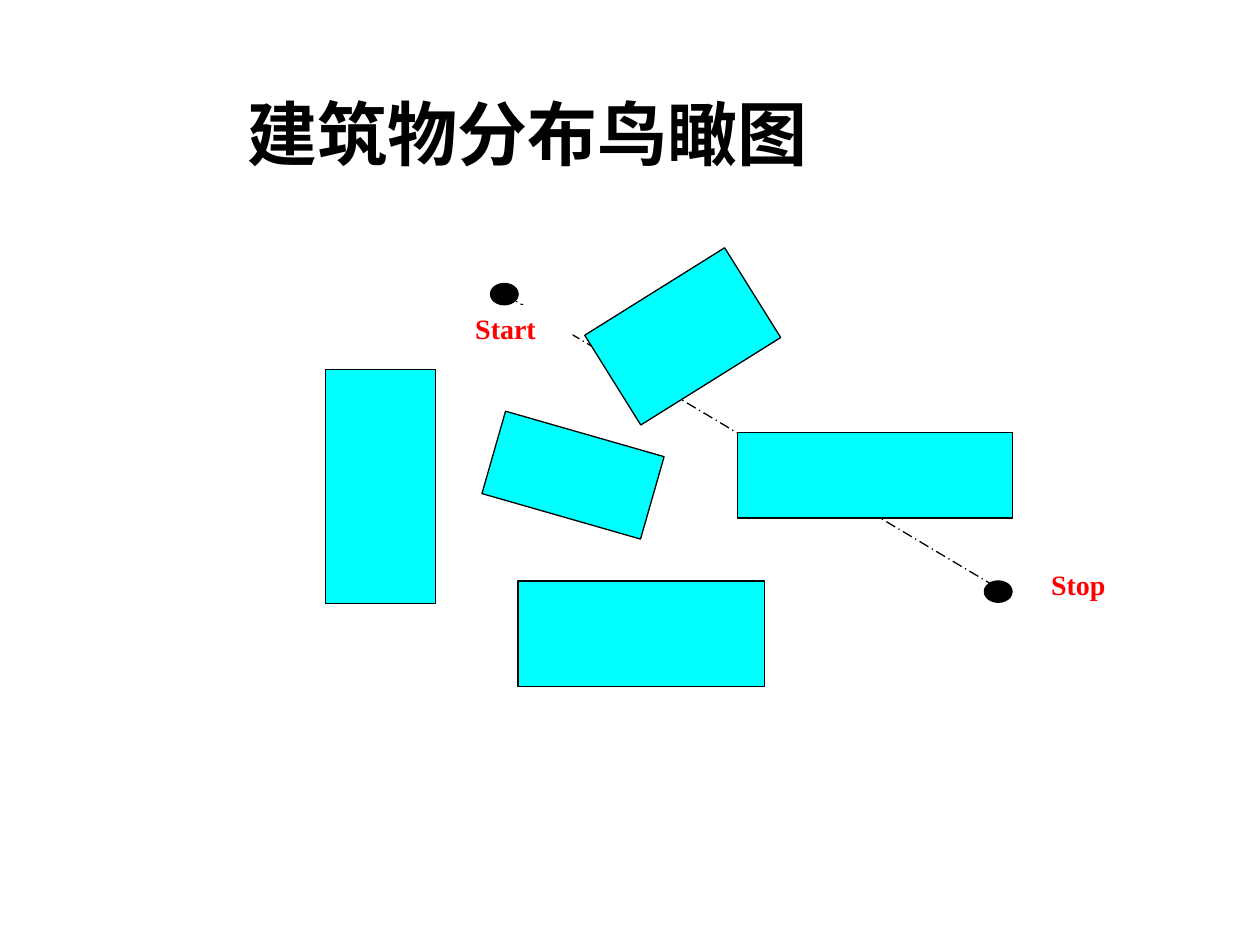
"""Build a slide with a bird's-eye map of buildings and a route."""
from pptx import Presentation
from pptx.dml.color import RGBColor
from pptx.enum.dml import MSO_LINE
from pptx.enum.shapes import MSO_CONNECTOR, MSO_SHAPE
from pptx.enum.text import MSO_ANCHOR, MSO_AUTO_SIZE, PP_ALIGN
from pptx.oxml.ns import qn
from pptx.util import Pt

COLORS = {"ink": "000000", "building": "00FFFF", "label": "FF0000", "paper": "FFFFFF"}
FONT = "Times New Roman"
LINE_WIDTH = 0.75
BUILDINGS = [
    (235.5, 85, 157, 49, 0),
    (94.3, 85, 94.3, 49, 16),
    (157, 0, 94.3, 60.5, 328),
    (110, 170, 141, 60.5, 0),
    (0, 49, 62.7, 134, 0),
]
LABELS = [("Stop", 407.5, 158.5, 78.5, 36.7), ("Start", 78.5, 12.3, 62.7, 36.7)]
STOPS = [(376.5, 170), (94.3, 0)]
STOP_SIZE = (15.8, 12.2)
ROUTE = (102, 6, 384.5, 174.2)


def color(name):
    """Return the named palette colour."""
    return RGBColor.from_string(COLORS[name])


def write_text(frame, text, size, ink, alignment):
    """Write one bold paragraph at the top of a text frame."""
    frame.text = text
    frame.word_wrap = True
    frame.auto_size = MSO_AUTO_SIZE.NONE
    frame.vertical_anchor = MSO_ANCHOR.TOP
    paragraph = frame.paragraphs[0]
    paragraph.alignment = alignment
    paragraph.font.name = FONT
    paragraph.font.size = Pt(size)
    paragraph.font.bold = True
    paragraph.font.color.rgb = color(ink)


def add_outlined(slide, kind, left, top, width, height, fill, rotation=0):
    """Add a filled preset shape with a thin dark outline."""
    outlined = slide.shapes.add_shape(kind, Pt(left), Pt(top), Pt(width), Pt(height))
    outlined.shadow.inherit = False
    outlined.rotation = rotation
    outlined.fill.solid()
    outlined.fill.fore_color.rgb = color(fill)
    outlined.line.color.rgb = color("ink")
    outlined.line.width = Pt(LINE_WIDTH)


def add_label(slide, text, left, top, width, height):
    """Add a red label on a white ground that masks the route."""
    label = slide.shapes.add_textbox(Pt(left), Pt(top), Pt(width), Pt(height))
    label.fill.solid()
    label.fill.fore_color.rgb = color("paper")
    write_text(label.text_frame, text, 16, "label", PP_ALIGN.JUSTIFY)


def add_route(slide, x, y):
    """Draw the dash-dotted direct route between the two stops."""
    x1, y1, x2, y2 = ROUTE
    route = slide.shapes.add_connector(
        MSO_CONNECTOR.STRAIGHT, Pt(x + x1), Pt(y + y1), Pt(x + x2), Pt(y + y2)
    )
    route.line.color.rgb = color("ink")
    route.line.width = Pt(LINE_WIDTH)
    route.line.dash_style = MSO_LINE.LONG_DASH_DOT
    properties = route._element.spPr
    properties.append(properties.makeelement(qn("a:effectLst"), {}))


def place_title(slide, x, y, width, height):
    """Place the slide title in the given box."""
    title = slide.shapes.title
    title.left, title.top, title.width, title.height = Pt(x), Pt(y), Pt(width), Pt(height)
    write_text(title.text_frame, "建筑物分布鸟瞰图 ", 40, "ink", PP_ALIGN.CENTER)


def place_map(slide, x, y):
    """Place the map with its top-left corner at the given point."""
    add_route(slide, x, y)
    for left, top, width, height, rotation in BUILDINGS:
        add_outlined(slide, MSO_SHAPE.RECTANGLE, x + left, y + top,
                     width, height, "building", rotation)
    for text, left, top, width, height in LABELS:
        add_label(slide, text, x + left, y + top, width, height)
    for left, top in STOPS:
        add_outlined(slide, MSO_SHAPE.OVAL, x + left, y + top, *STOP_SIZE, "ink")


def main():
    """Build and save the presentation."""
    presentation = Presentation()
    presentation.slide_width, presentation.slide_height = Pt(720), Pt(540)
    slide = presentation.slides.add_slide(presentation.slide_layouts[5])
    place_title(slide, 0, 48, 612, 90)
    place_map(slide, 186, 162)
    presentation.save("out.pptx")


if __name__ == "__main__":
    main()
